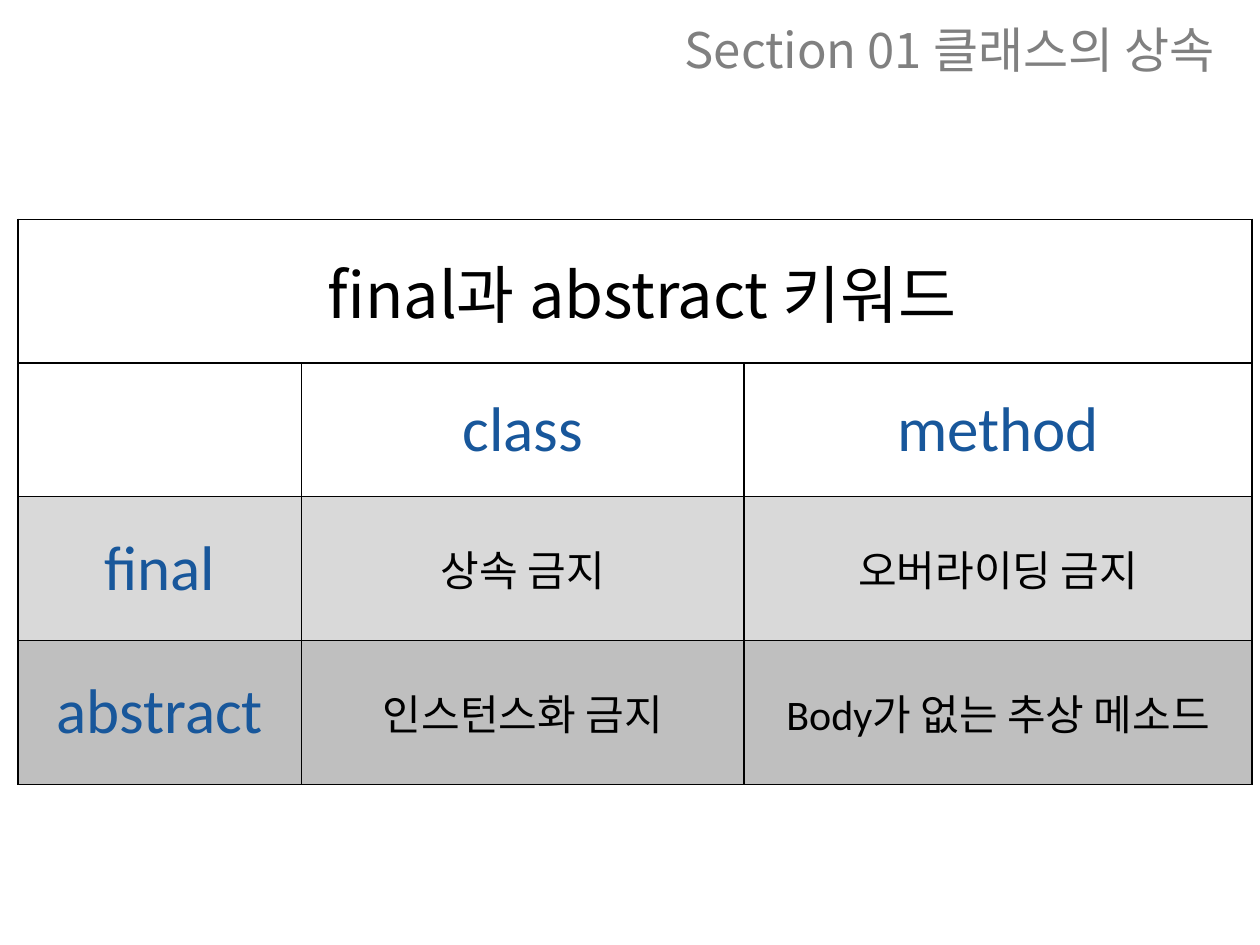
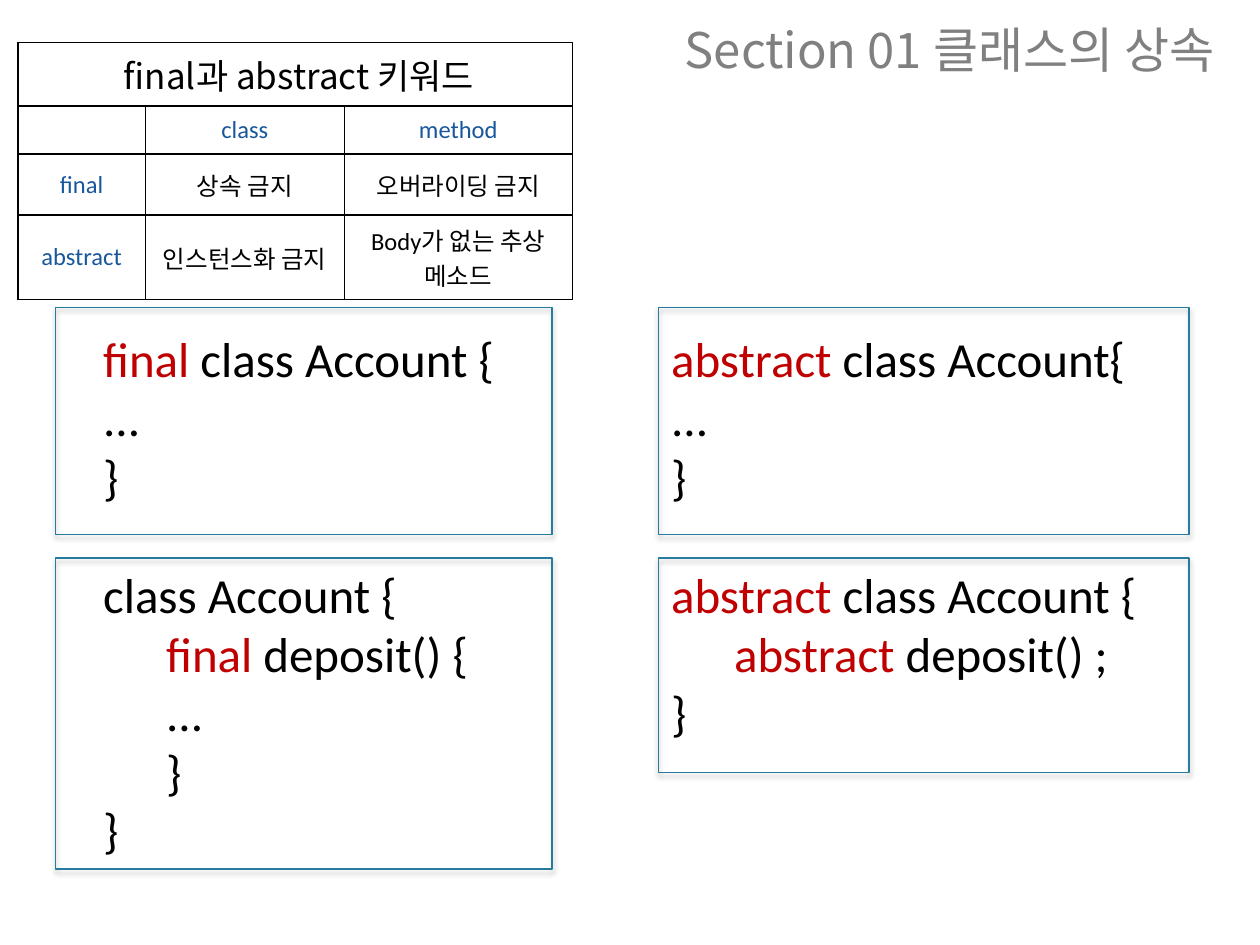
from pptx import Presentation
from pptx.dml.color import RGBColor
from pptx.enum.shapes import MSO_SHAPE
from pptx.enum.text import MSO_ANCHOR, PP_ALIGN
from pptx.oxml import parse_xml
from pptx.oxml.ns import nsdecls, qn
from pptx.util import Cm, Pt
from lxml.etree import SubElement

BLACK = RGBColor(0x00, 0x00, 0x00)
WHITE = RGBColor(0xFF, 0xFF, 0xFF)
TITLE_GRAY = RGBColor(0x80, 0x80, 0x80)
LIGHT_GRAY = RGBColor(0xD9, 0xD9, 0xD9)
MID_GRAY = RGBColor(0xBF, 0xBF, 0xBF)
LABEL_BLUE = RGBColor(0x18, 0x57, 0x9B)
FRAME_BLUE = RGBColor(0x28, 0x7A, 0x9E)
KEYWORD_RED = RGBColor(0xC0, 0x00, 0x00)
LATIN, KOREAN = "Calibri", "Noto Sans CJK KR"

TITLE = "Section 01 클래스의 상속"
KEYWORDS = [
    [" final과 abstract 키워드", "", ""],
    ["", "class", "method"],
    ["final", "상속 금지", "오버라이딩 금지"],
    ["abstract", "인스턴스화 금지", "Body가 없는 추상 메소드"],
]

# Code lines: (indent level, red keyword, rest); one list per frame
FINAL_CODE = [
    [(0, "final", " class Account {"), (0, "", "..."), (0, "", "}")],
    [(0, "", "class Account {"), (1, "final", " deposit() {"),
     (1, "", "..."), (1, "", "}"), (0, "", "}")],
]
ABSTRACT_CODE = [
    [(0, "abstract", " class Account{"), (0, "", "..."), (0, "", "}")],
    [(0, "abstract", " class Account {"), (1, "abstract", " deposit() ;"),
     (0, "", "}")],
]


def style_run(r, size, color, font=LATIN):
    r.font.size, r.font.name, r.font.color.rgb = Pt(size), font, color
    SubElement(r._r.get_or_add_rPr(), qn("a:ea")).set("typeface", KOREAN)


def add_titled_slide(prs):
    s = prs.slides.add_slide(prs.slide_layouts[5])
    sp = s.shapes.title
    sp.left, sp.top, sp.width, sp.height = Cm(12.88), Cm(0), Cm(12.52), Cm(1.98)
    tf = sp.text_frame
    tf.text = TITLE
    tf.vertical_anchor = MSO_ANCHOR.MIDDLE
    tf.paragraphs[0].alignment = PP_ALIGN.CENTER
    style_run(tf.paragraphs[0].runs[0], 28, TITLE_GRAY, KOREAN)
    return s


def set_borders(cell):
    tcPr = cell._tc.get_or_add_tcPr()
    for i, side in enumerate(("lnL", "lnR", "lnT", "lnB")):
        tcPr.insert(i, parse_xml(
            f'<a:{side} {nsdecls("a")} w="12700"><a:solidFill>'
            f'<a:srgbClr val="{BLACK}"/></a:solidFill></a:{side}>'))


def add_keyword_table(s, left, top, cols, rows, sizes, fills):
    """sizes: points for the heading, the labels and the body."""
    heading, label, body = sizes
    tbl = s.shapes.add_table(len(rows), len(cols), Cm(left), Cm(top),
                             Cm(sum(cols)), Cm(sum(rows))).table
    for col, width in zip(tbl.columns, cols):
        col.width = Cm(width)
    for row, height in zip(tbl.rows, rows):
        row.height = Cm(height)
    for i, texts in enumerate(KEYWORDS):
        for j, text in enumerate(texts):
            cell = tbl.cell(i, j)
            cell.fill.solid()
            cell.fill.fore_color.rgb = fills[i]
            set_borders(cell)
            cell.vertical_anchor = MSO_ANCHOR.MIDDLE
            p = cell.text_frame.paragraphs[0]
            p.alignment = PP_ALIGN.CENTER
            if not text:
                SubElement(p._p, qn("a:endParaRPr")).set("sz", str(body * 100))
                continue
            p.text = text
            if i == 0:
                style_run(p.runs[0], heading, BLACK, KOREAN)
            elif i == 1 or j == 0:
                style_run(p.runs[0], label, LABEL_BLUE)
            else:
                style_run(p.runs[0], body, BLACK)
    tbl.cell(0, 0).merge(tbl.cell(0, len(cols) - 1))


def add_frame(s, left, top, width, height):
    sp = s.shapes.add_shape(MSO_SHAPE.RECTANGLE, Cm(left), Cm(top),
                            Cm(width), Cm(height))
    sp.fill.background()
    sp.line.color.rgb = FRAME_BLUE
    sp.line.width = Pt(0.75)
    sp.shadow.inherit = False
    sp._element.spPr.find(qn("a:effectLst")).append(parse_xml(
        f'<a:outerShdw {nsdecls("a")} blurRad="{Pt(3.1)}" dist="{Pt(1.8)}" '
        f'dir="5400000" rotWithShape="0"><a:srgbClr val="{BLACK}">'
        '<a:alpha val="35000"/></a:srgbClr></a:outerShdw>'))


def add_code_column(s, left, top, width, inset, blocks, heights):
    """One text box with a frame around each block of code."""
    tf = s.shapes.add_textbox(Cm(left + inset), Cm(top + 0.3),
                              Cm(width - inset), Cm(sum(heights))).text_frame
    tf.word_wrap = True
    p = None
    for block in blocks:
        for n, (level, keyword, rest) in enumerate(block):
            first = p is None
            p = tf.paragraphs[0] if first else tf.add_paragraph()
            if n == 0 and not first:
                p.space_before = Pt(34)
            if level:
                pPr = p._p.get_or_add_pPr()
                pPr.set("marL", str(Cm(1.27 * level)))
                pPr.set("indent", "0")
            for text, color in ((keyword, KEYWORD_RED), (rest, BLACK)):
                if text:
                    r = p.add_run()
                    r.text = text
                    style_run(r, 28, color)
    for height in heights:
        add_frame(s, left, top, width, height)
        top += height + 0.48


prs = Presentation()
prs.slide_width, prs.slide_height = Cm(25.4), Cm(19.05)

# Keyword table alone
s = add_titled_slide(prs)
add_keyword_table(s, 0.36, 4.42, [5.72, 8.92, 10.24], [2.9, 2.69, 2.9, 2.9],
                  (36, 36, 24), [WHITE, WHITE, LIGHT_GRAY, MID_GRAY])

# Small keyword table with code examples
s = add_titled_slide(prs)
add_keyword_table(s, 0.36, 0.86, [2.57, 4.01, 4.6], [1.27, 0.97, 1.23, 1.7],
                  (20, 14, 14), [WHITE] * 4)
add_code_column(s, 1.12, 6.2, 10.01, 0.71, FINAL_CODE, [4.57, 6.27])
add_code_column(s, 13.28, 6.2, 10.69, 0, ABSTRACT_CODE, [4.57, 4.32])

prs.save("out.pptx")
